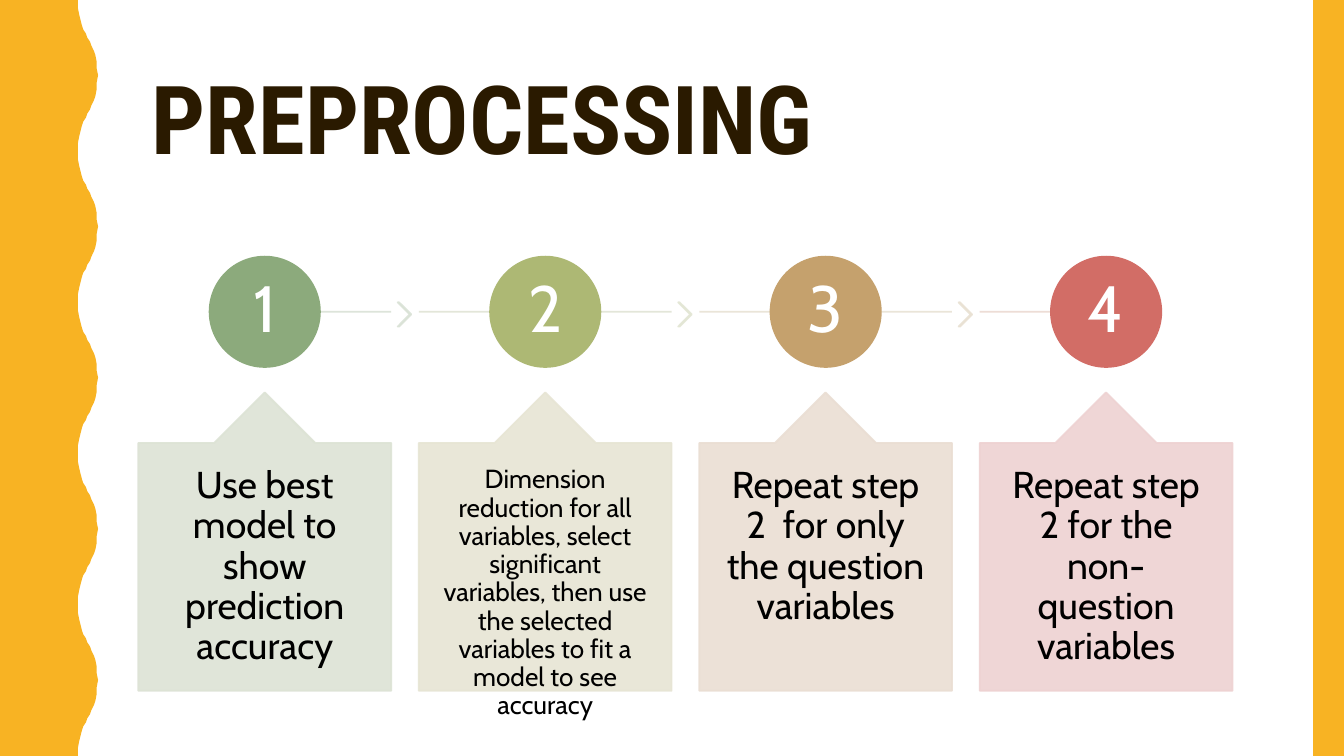
from lxml import etree
from pptx import Presentation
from pptx.dml.color import RGBColor
from pptx.enum.shapes import MSO_CONNECTOR, MSO_SHAPE
from pptx.enum.text import MSO_ANCHOR, PP_ALIGN
from pptx.oxml.ns import qn
from pptx.util import Inches, Pt

RECT = MSO_SHAPE.RECTANGLE
OVAL = MSO_SHAPE.OVAL
CHEVRON = MSO_SHAPE.CHEVRON
CALLOUT = MSO_SHAPE.UP_ARROW_CALLOUT
STRAIGHT = MSO_CONNECTOR.STRAIGHT
TOP, MIDDLE = MSO_ANCHOR.TOP, MSO_ANCHOR.MIDDLE
LEFT, CENTER = PP_ALIGN.LEFT, PP_ALIGN.CENTER

COLORS = {
    "gold": "F8B323", "title": "2A1A00", "white": "FFFFFF", "black": "000000",
    "dot": ["8CAA7C", "ADB874", "C5A16D", "D26D66"],
    "card": ["DDE3D5", "E7E5D4", "EADED3", "EED2D2"],
    "line": ["DAE2D7", "E1E4D5", "E8E3D4", "ECDAD2"],
    "arrow": ["DAE2D6", "E3E6D4", "E9E1D3"],
}


def paint(shape, color, alpha=None, edge=True):
    shape.shadow.inherit = False
    shape.fill.solid()
    shape.fill.fore_color.rgb = RGBColor.from_string(color)
    if edge:
        shape.line.color.rgb = RGBColor.from_string(color)
        shape.line.width = Pt(1)
    else:
        shape.line.fill.background()
    if alpha:
        for tone in shape._element.spPr.iter(qn("a:srgbClr")):
            etree.SubElement(tone, qn("a:alpha")).set("val", str(alpha * 1000))


def write(box, text, size, font, color, align, anchor, pad, bold=False):
    area = slide.shapes.add_textbox(*map(Inches, box))
    frame = area.text_frame
    frame.word_wrap = True
    frame.vertical_anchor = anchor
    frame.margin_left = frame.margin_right = Inches(pad[0])
    frame.margin_top = frame.margin_bottom = Inches(pad[1])
    para = frame.paragraphs[0]
    para.alignment = align
    para.line_spacing = 0.9
    run = para.add_run()
    run.text = text
    run.font.size = Pt(size)
    run.font.name = font
    run.font.bold = bold
    run.font.color.rgb = RGBColor.from_string(color)


wide = 10
high = wide * 9 / 16
deck = Presentation()
deck.slide_width = Inches(wide)
deck.slide_height = Inches(high)
slide = deck.slides.add_slide(deck.slide_layouts[6])
shapes = slide.shapes

half = [(0.58, 0), (0.58, 0.06), (0.59, 0.11), (0.6, 0.15), (0.61, 0.19),
        (0.62, 0.22), (0.64, 0.25), (0.65, 0.28), (0.67, 0.31), (0.68, 0.34),
        (0.7, 0.38), (0.71, 0.41), (0.72, 0.46), (0.72, 0.51), (0.73, 0.56)]
period = high / 5
wave = half + [(x, period - y) for x, y in half[-2::-1]]
edge = [(x, y + i * period) for i in range(5) for x, y in wave]
points = [(Inches(x), Inches(y)) for x, y in edge + [(0, high)]]
pen = shapes.build_freeform(0, 0)
pen.add_line_segments(points, close=True)
paint(pen.convert_to_shape(), COLORS["gold"], edge=False)

bar = shapes.add_shape(RECT, Inches(9.77), 0, Inches(0.23), Inches(high))
paint(bar, COLORS["gold"], edge=False)

write((1.03, 0.31, 8.35, 1.22), "PREPROCESSING", 51, "Roboto Condensed",
      COLORS["title"], LEFT, MIDDLE, (0.1, 0.05), True)

steps = [
    ("Use best model to show prediction accuracy", 20),
    ("Dimension reduction for all variables, select significant variables, "
     "then use the selected variables to fit a model to see accuracy", 14),
    ("Repeat step 2  for only the question variables", 20),
    ("Repeat step 2 for the non-question variables", 20),
]
span = 1.88
gap = (7.29 - 1.03) / 3
last = len(steps) - 1
for i, (text, size) in enumerate(steps):
    left = 1.03 + i * gap
    mid = left + span / 2

    start = mid + 0.1 if i == 0 else left
    end = mid if i == last else left + span
    line = shapes.add_connector(STRAIGHT, Inches(start), Inches(2.32),
                                Inches(end), Inches(2.32))
    line.line.color.rgb = RGBColor.from_string(COLORS["line"][i])
    line.line.width = Pt(1)
    props = line._element.spPr
    etree.SubElement(props, qn("a:effectLst"))
    tone = next(props.iter(qn("a:srgbClr")))
    etree.SubElement(tone, qn("a:alpha")).set("val", "90000")

    if i < last:
        arrow = shapes.add_shape(CHEVRON, Inches(left + 1.93), Inches(2.25),
                                 Inches(0.1), Inches(0.18))
        arrow.adjustments[0] = 0.9
        paint(arrow, COLORS["arrow"][i], 90)

    dot = shapes.add_shape(OVAL, Inches(mid - 0.41), Inches(1.91),
                           Inches(0.82), Inches(0.82))
    paint(dot, COLORS["dot"][i])
    write((mid - 0.29, 2.03, 0.58, 0.58), str(i + 1), 35, "Cabin",
          COLORS["white"], CENTER, MIDDLE, (0.03, 0.03))

    card = shapes.add_shape(CALLOUT, Inches(left), Inches(2.92),
                            Inches(span), Inches(2.22))
    for n, value in enumerate((0.5, 0.2, 0.2, 1)):
        card.adjustments[n] = value
    paint(card, COLORS["card"][i], 90)
    write((left, 3.29, span, 1.84), text, size, "Cabin",
          COLORS["black"], CENTER, TOP, (0.15, 0.18))

deck.save("out.pptx")
